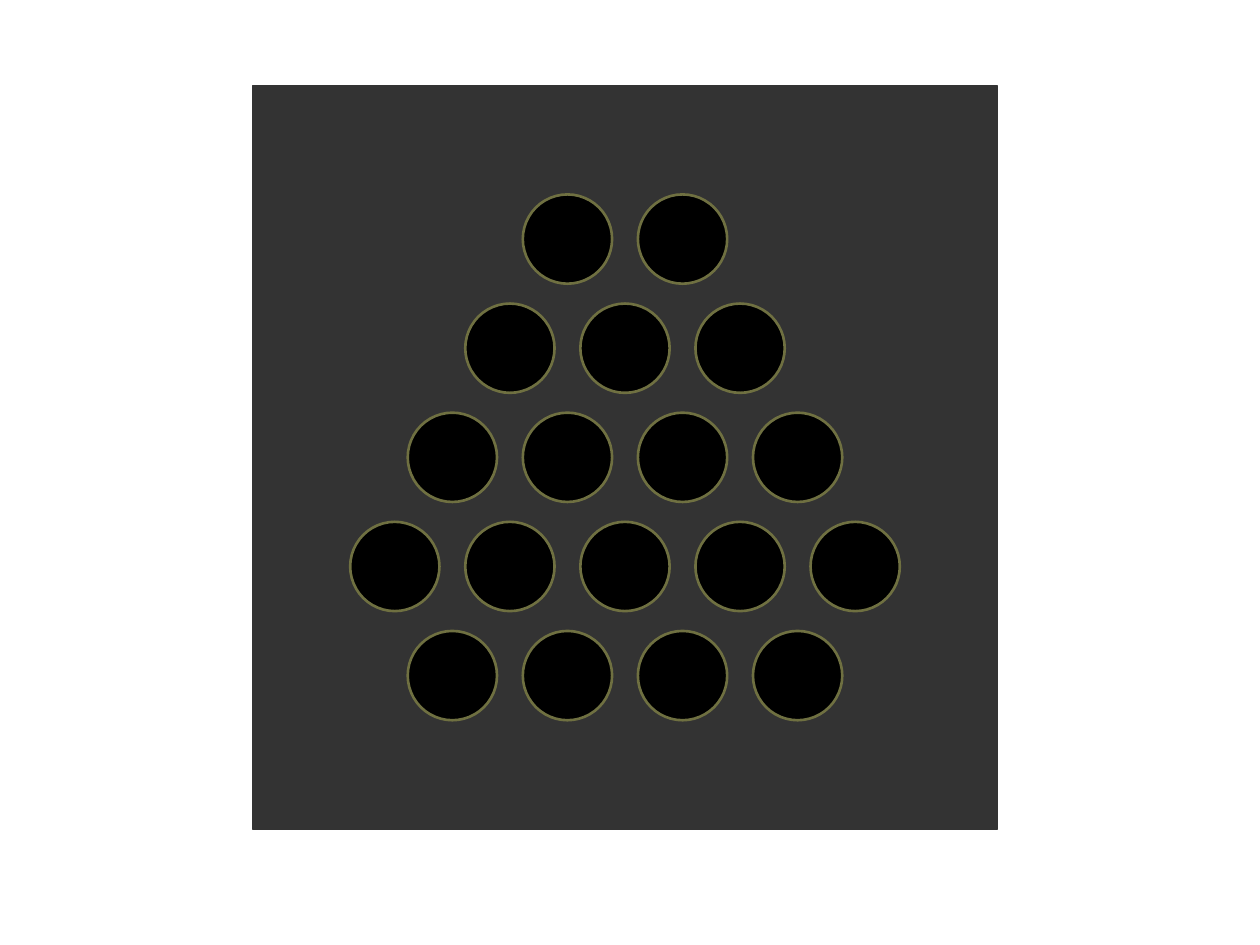
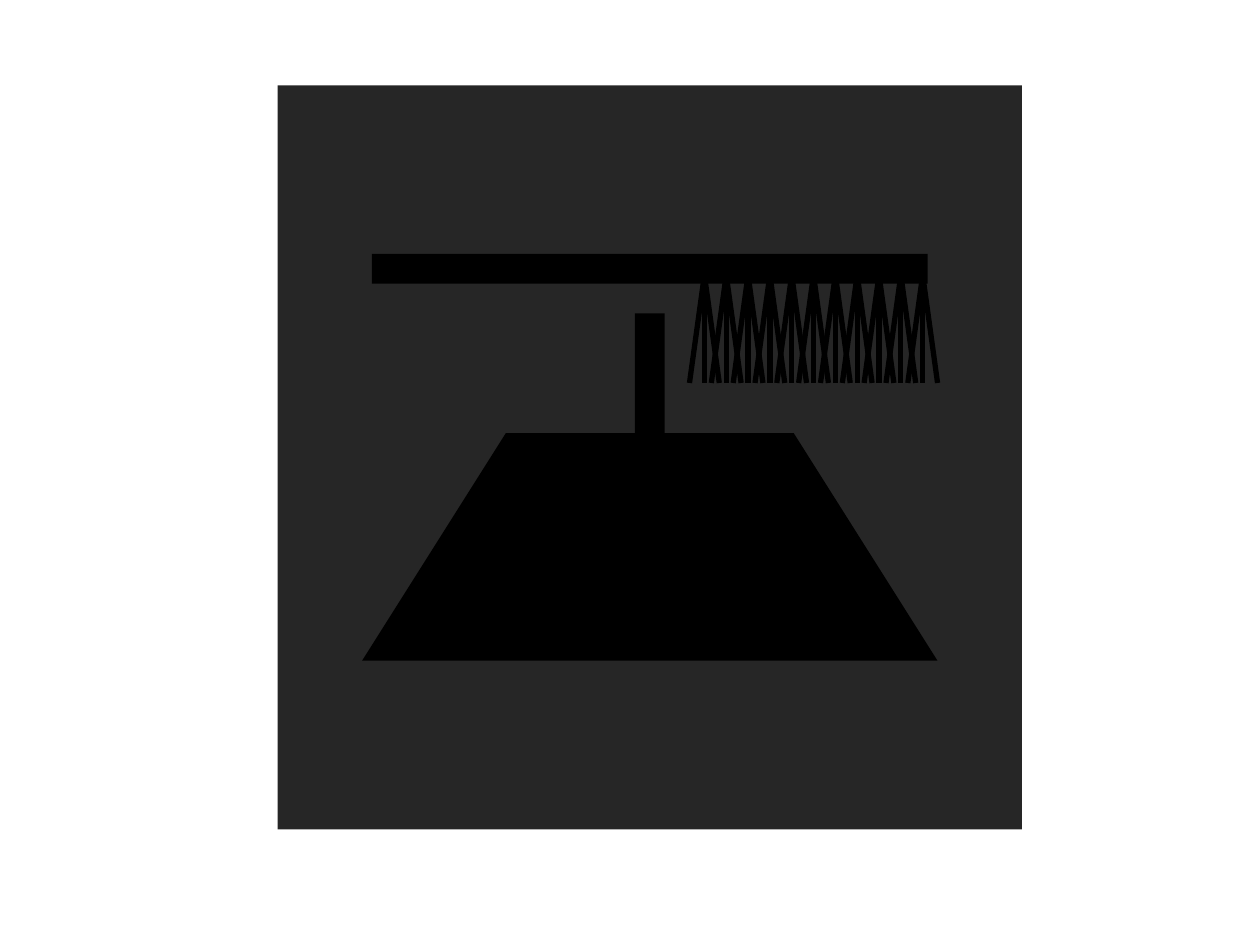
"""Draw two dark panels: a stack of discs, and a brush above a pan."""
from lxml.etree import SubElement
from pptx import Presentation
from pptx.dml.color import RGBColor
from pptx.enum.shapes import MSO_CONNECTOR, MSO_SHAPE
from pptx.oxml.ns import qn
from pptx.util import Cm, Pt

SIZE = (25.4, 19.05)
SIDE, TOP = 15, 1.72

DISCS = {"mid": 12.6, "top": 3.92, "size": 1.8, "step": 2.32, "drop": 2.2,
         "rows": [2, 3, 4, 5, 4]}

MID = 13.1
BARS = [
    {"top": 6.32, "wide": 0.6, "high": 4},
    {"top": 5.12, "wide": 11.2, "high": 0.6},
]
PAN = [(-5.8, 13.32), (5.8, 13.32), (2.9, 8.73), (-2.9, 8.73)]
TUFTS = {"count": 11, "left": 14.2, "step": 0.44, "top": 5.54, "foot": 7.72,
         "leans": [0.3, -0.3, 0]}

INK = RGBColor(0, 0, 0)
SLATE = RGBColor(0x33, 0x33, 0x33)
THEME = {
    "slate": {"fill": SLATE, "line": SLATE, "width": Pt(0.75)},
    "coal": {"fill": RGBColor(0x26, 0x26, 0x26)},
    "disc": {"fill": INK, "line": RGBColor(0x6F, 0x70, 0x41), "width": Pt(1.5)},
    "solid": {"fill": INK},
    "hair": {"line": INK, "width": Pt(3)},
}


def paint(shape, look):
    for key, val in THEME[look].items():
        if key == "width":
            shape.line.width = val
            continue
        fill = shape.fill if key == "fill" else shape.line.fill
        fill.solid()
        setattr(fill.fore_color, "rgb", val)


def finish(shape, look):
    shape.shadow.inherit = False
    shape.line.fill.background()
    paint(shape, look)


def block(slide, kind, left, top, wide, high, look):
    box = [Cm(val) for val in (left, top, wide, high)]
    finish(slide.shapes.add_shape(kind, *box), look)


def panel(deck, mid, look):
    slide = deck.slides.add_slide(deck.slide_layouts[6])
    block(slide, MSO_SHAPE.RECTANGLE, mid - SIDE / 2, TOP, SIDE, SIDE, look)
    return slide


def stack(slide):
    size, step = DISCS["size"], DISCS["step"]
    for row, count in enumerate(DISCS["rows"]):
        left = DISCS["mid"] - ((count - 1) * step + size) / 2
        top = DISCS["top"] + row * DISCS["drop"]
        for col in range(count):
            block(slide, MSO_SHAPE.OVAL, left + col * step, top, size, size, "disc")


def pan(slide):
    first, *rest = [(Cm(MID + side), Cm(y)) for side, y in PAN]
    form = slide.shapes.build_freeform(*first)
    form.add_line_segments(rest, close=True)
    finish(form.convert_to_shape(), "solid")


def tuft(slide, root):
    group = slide.shapes.add_group_shape()
    for lean in TUFTS["leans"]:
        ends = [Cm(val) for val in (root, TUFTS["top"], root + lean, TUFTS["foot"])]
        hair = group.shapes.add_connector(MSO_CONNECTOR.STRAIGHT, *ends)
        paint(hair, "hair")
        SubElement(hair._element.spPr, qn("a:effectLst"))


def brush(slide):
    pan(slide)
    for bar in BARS:
        block(slide, MSO_SHAPE.RECTANGLE, MID - bar["wide"] / 2, bar["top"],
              bar["wide"], bar["high"], "solid")
    for spot in range(TUFTS["count"]):
        tuft(slide, TUFTS["left"] + spot * TUFTS["step"])


def main():
    deck = Presentation()
    deck.slide_width, deck.slide_height = [Cm(val) for val in SIZE]
    stack(panel(deck, DISCS["mid"], "slate"))
    brush(panel(deck, MID, "coal"))
    deck.save("out.pptx")


if __name__ == "__main__":
    main()
